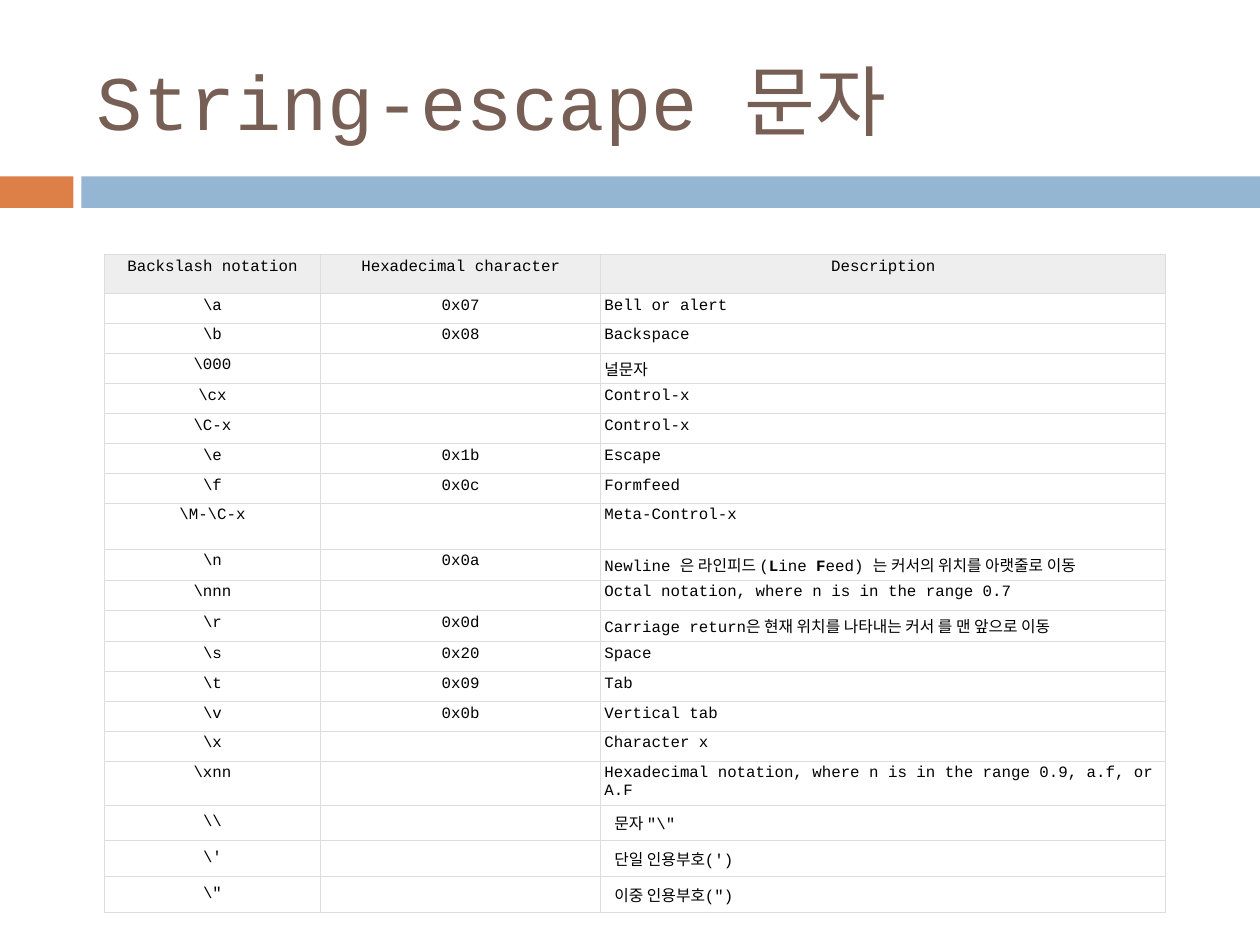
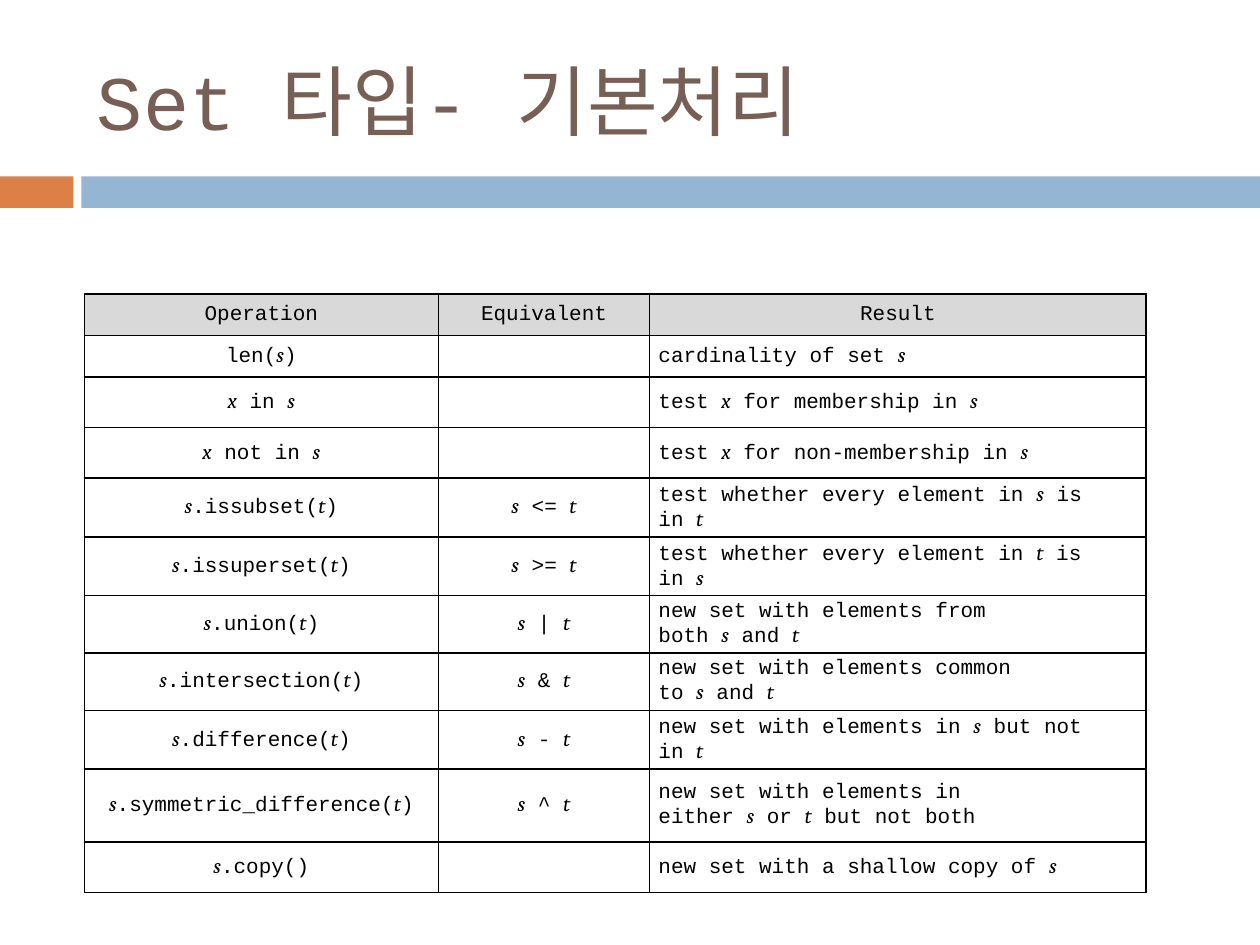
from lxml import etree
from pptx import Presentation
from pptx.dml.color import RGBColor
from pptx.enum import shapes, text
from pptx.oxml import ns
from pptx.util import Pt

BROWN = RGBColor(0x77, 0x5F, 0x55)
ORANGE = RGBColor(0xDD, 0x80, 0x47)
BLUE = RGBColor(0x94, 0xB6, 0xD2)
BLACK = RGBColor(0, 0, 0)
WHITE = RGBColor(255, 255, 255)
PALE = RGBColor(0xEE, 0xEE, 0xEE)
GRAY = RGBColor(0xD9, 0xD9, 0xD9)
RULE = RGBColor(0xDD, 0xDD, 0xDD)
MONO, SERIF = "Courier New", "Cambria"
NBSP = chr(160)
THIN, THICK = 0.6, 1
LEFT, CENTER = text.PP_ALIGN.LEFT, text.PP_ALIGN.CENTER
TOP, MIDDLE = text.MSO_ANCHOR.TOP, text.MSO_ANCHOR.MIDDLE

ESCAPES = [
    ("Backslash notation", "Hexadecimal character", "Description"),
    (r"\a", "0x07", "Bell or alert"),
    (r"\b", "0x08", "Backspace"),
    (r"\000", "", "널문자"),
    (r"\cx", "", "Control-x"),
    (r"\C-x", "", "Control-x"),
    (r"\e", "0x1b", "Escape"),
    (r"\f", "0x0c", "Formfeed"),
    (r"\M-\C-x", "", "Meta-Control-x"),
    (r"\n", "0x0a", "Newline 은 라인피드 (*L*ine *F*eed) 는 커서의 위치를 아랫줄로 이동"),
    (r"\nnn", "", "Octal notation, where n is in the range 0.7"),
    (r"\r", "0x0d", "Carriage return은 현재 위치를 나타내는 커서 를 맨 앞으로 이동"),
    (r"\s", "0x20", "Space"),
    (r"\t", "0x09", "Tab"),
    (r"\v", "0x0b", "Vertical tab"),
    (r"\x", "", "Character x"),
    (r"\xnn", "", "Hexadecimal notation, where n is in the range 0.9, a.f, or A.F"),
    (r"\\", "", r'문자 "\"'),
    (r"\'", "", "단일 인용부호(')"),
    (r'\"', "", '이중 인용부호(")'),
]
SETS = [
    ("Operation", "Equivalent", "Result"),
    ("len(*s*)", "", "cardinality of set *s*"),
    ("*x* in *s*", "", "test *x* for membership in *s*"),
    ("*x* not in *s*", "", "test *x* for non-membership in *s*"),
    ("*s*.issubset(*t*)", "*s* <= *t*", "test whether every element in *s* is in *t*"),
    ("*s*.issuperset(*t*)", "*s* >= *t*", "test whether every element in *t* is in *s*"),
    ("*s*.union(*t*)", "*s* | *t*", "new set with elements from both *s* and *t*"),
    ("*s*.intersection(*t*)", "*s* & *t*", "new set with elements common to *s* and *t*"),
    ("*s*.difference(*t*)", "*s* - *t*", "new set with elements in *s* but not in *t*"),
    ("*s*.symmetric_difference(*t*)", "*s* ^ *t*",
     "new set with elements in either *s* or *t* but not both"),
    ("*s*.copy()", "", "new set with a shallow copy of *s*"),
]


def write(para, words, size=12, color=BLACK, align=LEFT, mark=None):
    """Fill a paragraph; parts between asterisks take the font settings in mark."""
    para.alignment = align
    for i, part in enumerate(words.split("*")):
        if part:
            run = para.add_run()
            run.text = part
            font = run.font
            font.name, font.size, font.color.rgb = MONO, Pt(size), color
            if i % 2:
                for key, value in mark.items():
                    setattr(font, key, value)
    if not words:
        etree.SubElement(para._p, ns.qn("a:endParaRPr"), sz=str(size * 100))


def bind(words):
    """Tie each marked variable to its neighbours with no-break spaces."""
    return words.replace(" *", NBSP + "*").replace("* ", "*" + NBSP)


def edge(cell, color, widths):
    """Set the borders in the order left, right, top, bottom."""
    props = cell._tc.get_or_add_tcPr()
    for i, (side, width) in enumerate(zip("LRTB", widths)):
        line = etree.Element(ns.qn("a:ln" + side), w=str(Pt(width)))
        fill = etree.SubElement(line, ns.qn("a:solidFill"))
        etree.SubElement(fill, ns.qn("a:srgbClr"), val=str(color))
        props.insert(i, line)


class Deck:
    def __init__(self):
        self.prs = Presentation()
        self.prs.slide_width, self.prs.slide_height = Pt(720), Pt(540)

    def start(self, title):
        self.slide = self.prs.slides.add_slide(self.prs.slide_layouts[5])
        self.band(0, 42, ORANGE)
        self.band(46.5, 673.5, BLUE)
        self.title(title)

    def band(self, left, width, color):
        box = self.slide.shapes.add_shape(
            shapes.MSO_SHAPE.RECTANGLE, Pt(left), Pt(100.8), Pt(width), Pt(18))
        box.shadow.inherit = False
        box.fill.solid()
        box.fill.fore_color.rgb = color
        box.line.fill.background()

    def title(self, words):
        head = self.slide.shapes.title
        head.left, head.top, head.width, head.height = map(Pt, (48.2, 18, 642.2, 77.8))
        frame = head.text_frame
        frame.word_wrap, frame.vertical_anchor = True, MIDDLE
        write(frame.paragraphs[0], words, size=44, color=BROWN)

    def table(self, data, left, top, cols, rows, style):
        """Add a table; style gives each cell its look from its row and column."""
        frame = self.slide.shapes.add_table(
            len(rows), len(cols), Pt(left), Pt(top), Pt(sum(cols)), Pt(sum(rows)))
        grid = frame.table
        grid.first_row = grid.horz_banding = False
        for col, width in zip(grid.columns, cols):
            col.width = Pt(width)
        for r, (row, height) in enumerate(zip(grid.rows, rows)):
            row.height = Pt(height)
            for c, cell in enumerate(row.cells):
                self.cell(cell, data[r][c], LEFT if r and c == 2 else CENTER, **style(r, c))

    def cell(self, cell, words, align, size, mark, fill, pad, anchor, line, widths):
        cell.margin_left = cell.margin_right = Pt(pad[0])
        cell.margin_top = cell.margin_bottom = Pt(pad[1])
        cell.vertical_anchor = anchor
        if fill is None:
            cell.fill.background()
        else:
            cell.fill.solid()
            cell.fill.fore_color.rgb = fill
        write(cell.text_frame.paragraphs[0], words, size=size, align=align, mark=mark)
        edge(cell, line, widths)


def plain(r, c):
    """Look of the escape table: its last three rows are roomier."""
    roomy = r >= len(ESCAPES) - 3
    return dict(size=9, mark={"bold": True}, fill=None if r else PALE,
                pad=(7.92, 3.6) if roomy else (2.16, 2.16),
                anchor=MIDDLE if roomy else TOP, line=RULE, widths=[THIN] * 4)


def boxed(r, c):
    """Look of the set table: thick outside and across, thin between columns."""
    widths = [THIN if c else THICK, THICK if c == 2 else THIN,
              THICK, THIN if r == len(SETS) - 1 else THICK]
    return dict(size=12, mark={"name": SERIF, "italic": True}, fill=WHITE if r else GRAY,
                pad=(5, 2.4), anchor=MIDDLE, line=BLACK, widths=widths)


def main():
    deck = Deck()
    deck.start("String-escape 문자")
    rows = [22.3] + [17.1] * 7 + [26.3] + [17.6] * 3 + [17.1] * 4 + [25.1] + [20.4] * 3
    deck.table(ESCAPES, 59.6, 145.3, [123.6, 160, 323], rows, plain)

    deck.start("Set 타입- 기본처리")
    rows = [23.8] * 2 + [28.9] * 2 + [33.6] * 2 + [32.7] * 2 + [33.6, 41.7, 28.9]
    data = [[bind(words) for words in row] for row in SETS]
    deck.table(data, 48.2, 167.9, [202.3, 120.8, 283.7], rows, boxed)
    deck.prs.save("out.pptx")


if __name__ == "__main__":
    main()
